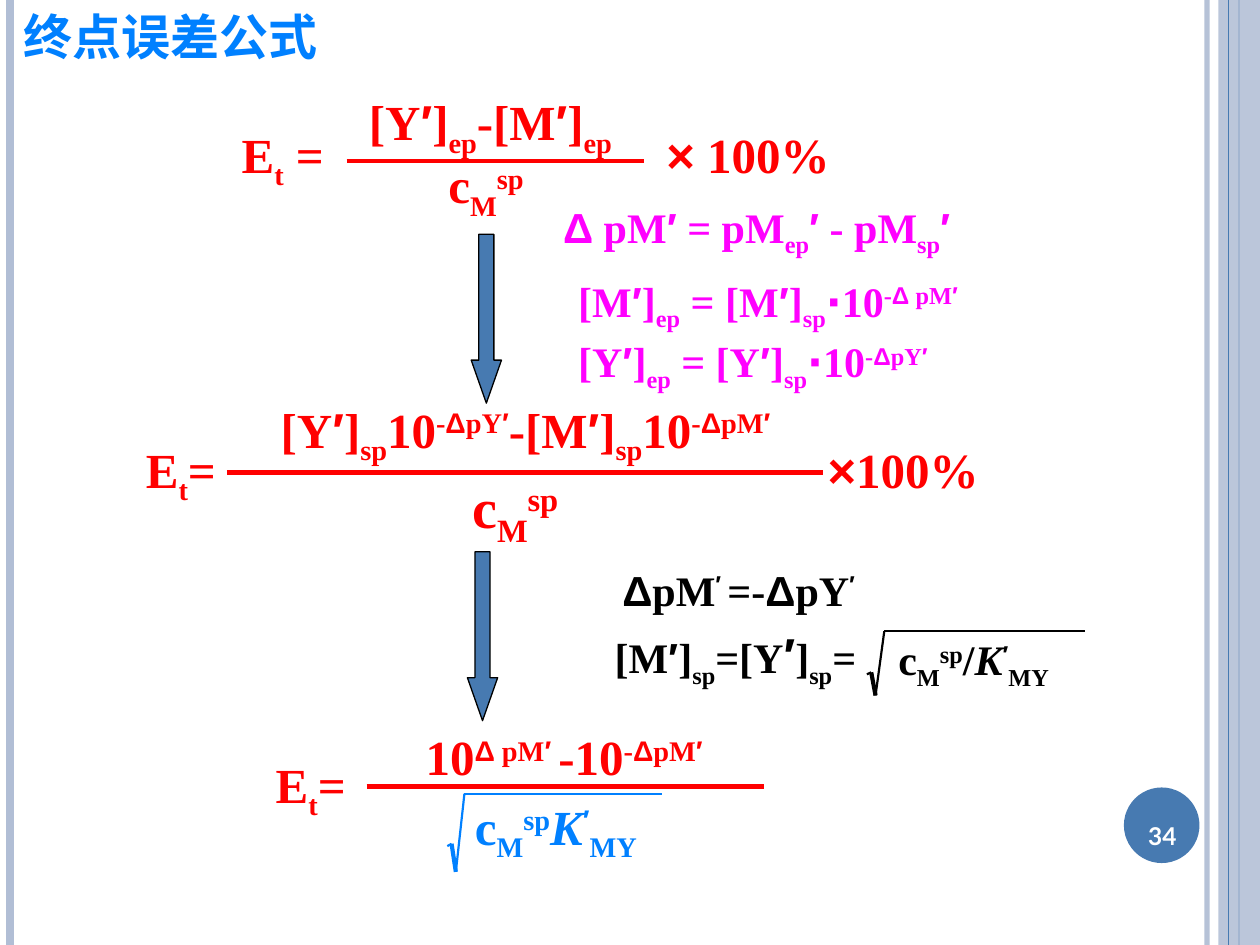
from itertools import pairwise
from lxml.etree import SubElement
from pptx import Presentation
from pptx.dml.color import RGBColor as RGB
from pptx.enum.shapes import MSO_CONNECTOR as CONN, MSO_SHAPE as SHAPE
from pptx.enum.text import MSO_ANCHOR as ANCHOR, MSO_AUTO_SIZE as AUTO, PP_ALIGN as ALIGN
from pptx.oxml.ns import qn
from pptx.util import Inches, Pt

C = {"red": "FF0000", "blue": "0080FF", "pink": "FF00FF", "black": "000000",
     "steel": "477AB1", "mist": "B1BED5", "white": "FFFFFF"}
SERIF, SANS = "Times New Roman", "Arial"
SHIFT = {"_": -25000, "^": 30000, "|": 0}

prs = Presentation()
prs.slide_width, prs.slide_height = Inches(10), Inches(7.5)
col, row = prs.slide_width / 100, prs.slide_height / 75
s = prs.slides.add_slide(prs.slide_layouts[6])


def line(x1, y1, x2, y2, color, width):
    cx = s.shapes.add_connector(CONN.STRAIGHT, int(x1 * col), int(y1 * row),
                                int(x2 * col), int(y2 * row))
    cx.line.color.rgb, cx.line.width = RGB.from_string(C[color]), Pt(width)
    SubElement(cx._element.spPr, qn("a:effectLst"))
    return cx


# _ lowers, ^ raises, | returns to the baseline, ~ toggles italic, + toggles a larger size
def formula(x, y, w, h, size, color, lines, inset=1, spacing=None, main=SERIF):
    sp = s.shapes.add_textbox(int(x * col), int(y * row), int(w * col), int(h * row))
    tf = sp.text_frame
    frame = {"word_wrap": True, "auto_size": AUTO.SHAPE_TO_FIT_TEXT,
             "margin_left": int(inset * col), "margin_right": int(inset * col),
             "margin_top": int(inset * row / 2), "margin_bottom": int(inset * row / 2)}
    for key, value in frame.items():
        setattr(tf, key, value)
    for i, text in enumerate(lines):
        p = tf.add_paragraph() if i else tf.paragraphs[0]
        p.line_spacing = spacing
        if i:
            p.space_before = Pt(15)
        shift, italic, extra, last, r = 0, False, 0, None, None
        for ch in text:
            if ch in SHIFT:
                shift = SHIFT[ch]
            elif ch == "~":
                italic = not italic
            elif ch == "+":
                extra = 4 - extra
            else:
                state = (SANS if ch in "Δ′×⋅" else main, shift, italic, extra)
                if state != last:
                    r, last = p.add_run(), state
                    font = {"name": state[0], "size": Pt(size + extra),
                            "bold": True, "italic": italic}
                    for key, value in font.items():
                        setattr(r.font, key, value)
                    r.font.color.rgb = RGB.from_string(C[color])
                    if shift:
                        r._r.get_or_add_rPr().set("baseline", str(shift))
                r.text += ch
    return sp


edge = line(95.8, 0, 95.8, 75, "mist", 3)
line(0.8, 0, 0.8, 75, "mist", 4.5)
band_axis = line(98.3, 0, 98.3, 75, "steel", 1.5)

shapes = []
for kind, x, y, w, h, color, outline in [
    (SHAPE.RECTANGLE, 96.7, 0, 3.3, 75, "mist", False),
    (SHAPE.OVAL, 89.2, 62.5, 6, 6, "steel", False),
    (SHAPE.DOWN_ARROW, 37.4, 18.6, 2.4, 13.4, "steel", True),
    (SHAPE.DOWN_ARROW, 37.1, 43.8, 2.4, 13.4, "steel", True),
]:
    sp = s.shapes.add_shape(kind, int(x * col), int(y * row), int(w * col), int(h * row))
    sp.shadow.inherit = False
    sp.fill.solid()
    sp.fill.fore_color.rgb = RGB.from_string(C[color])
    if outline:
        sp.adjustments[0], sp.adjustments[1] = 0.5, 1.42
        sp.line.color.rgb, sp.line.width = RGB.from_string(C["black"]), Pt(0.75)
    else:
        sp.line.fill.background()
    shapes.append(sp)
band = shapes[0]
band_axis.begin_connect(band, 0)
band_axis.end_connect(band, 2)
line(97.5, 0, 97.5, 75, "steel", 0.75)
for sp, opacity in [(edge, 93), (band, 87)]:
    clr = next(sp._element.spPr.iter(qn("a:srgbClr")))
    SubElement(clr, qn("a:alpha"), val=str(opacity * 1000))

for x, y, w, h, size, color, text in [
    (0.9, 0, 49, 5.7, 28, "blue", "终点误差公式"),
    (18.2, 9.4, 9, 6.3, 28, "red", "E_t| ="),
    (51.9, 9.4, 18, 6.3, 28, "red", "× 100%"),
    (28.3, 6.8, 26, 6.3, 28, "red", "[Y′]_ep|-[M′]_ep"),
    (34.6, 11.8, 12.6, 6.3, 28, "red", "c_M^sp"),
    (43.7, 15.5, 43.2, 5.6, 24, "pink", "Δ pM′ = pM_ep|′ - pM_sp|′"),
    (21.3, 31.2, 50.3, 6.3, 28, "red", "[Y′]_sp|10^-ΔpY′|-[M′]_sp|10^-ΔpM′"),
    (36.5, 37, 17.4, 7.1, 32, "red", "c_M^sp"),
    (10.6, 34.4, 8, 6.3, 28, "red", "E_t|="),
    (64.7, 34.4, 18, 6.3, 28, "red", "×100%"),
    (48.4, 44.3, 20.9, 5, 24, "black", "ΔpM^′ |=-ΔpY^′"),
    (47.8, 49.1, 23.6, 6.1, 24, "black", "[M′]_sp|=[Y+′+]_sp|="),
    (20.9, 59.4, 16.3, 6.3, 28, "red", "E_t|="),
    (32.8, 57.2, 27.6, 5.7, 28, "red", "10^Δ pM′ |-10^-ΔpM′"),
]:
    formula(x, y, w, h, size, color, [text])

formula(44.9, 22.5, 42.9, 8.6, 24, "pink",
        ["[M′]_ep| = [M′]_sp|⋅10^-Δ pM′", "[Y′]_ep| = [Y′]_sp|⋅10^-ΔpY′"], spacing=0.6)

for x1, x2, y, width in [(27.5, 51.1, 12.8, 2.5), (18, 65.3, 37.5, 2.5), (29.1, 60.6, 62.4, 2.75)]:
    line(x1, y, x2, y, "red", width)

ROOT = [(0, 0.67), (0.02, 0.64), (0.04, 1), (0.08, 0), (1, 0)]
for x, y, w, h, size, color, text, tx, ty in [
    (68.8, 50.1, 17.3, 5.1, 24, "black", "c_M^sp|/~K~^′_MY", 71.3, 50.3),
    (35.5, 63, 17, 6.2, 28, "blue", "c_M^sp|~K~^′_MY", 37.7, 63.2),
]:
    points = [(x + u * w, y + v * h) for u, v in ROOT]
    for (a, b), width in zip(pairwise(points), [1.25, 2.38, 1.25, 1.25]):
        line(*a, *b, color, width)
    formula(tx, ty, 15, 5, size, color, [text], inset=0)

tf = formula(88.9, 62.7, 6.7, 5.7, 14, "white", ["34"], spacing=1.7, main="Lato").text_frame
tf.auto_size, tf.vertical_anchor = AUTO.NONE, ANCHOR.MIDDLE
tf.paragraphs[0].alignment = ALIGN.CENTER

prs.save("out.pptx")
